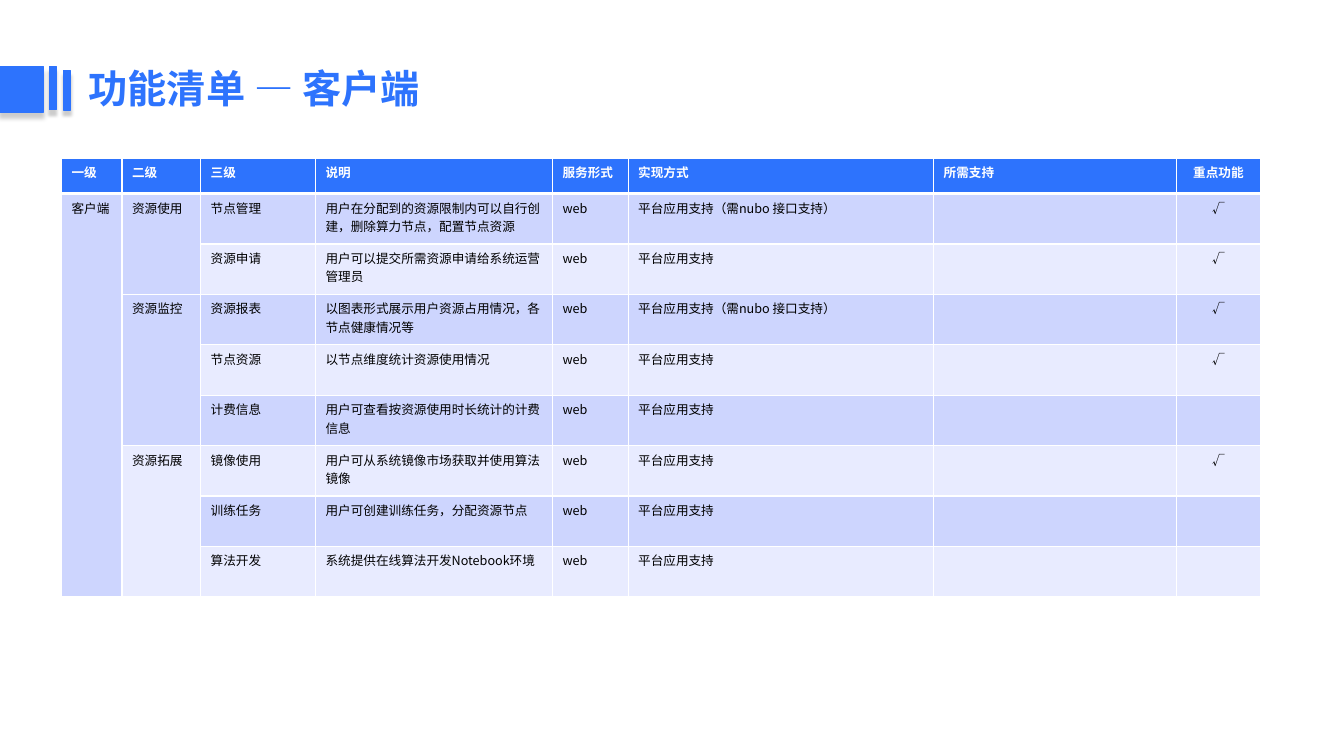
"""Build the client feature list slide."""
from lxml.etree import SubElement
from pptx import Presentation
from pptx.dml.color import RGBColor
from pptx.enum.shapes import MSO_SHAPE
from pptx.enum.text import MSO_ANCHOR, PP_ALIGN
from pptx.oxml import parse_xml
from pptx.oxml.ns import nsdecls, qn
from pptx.util import Inches, Pt

TITLE = "功能清单 — 客户端"
HEADERS = ["一级", "二级", "三级", "说明", "服务形式", "实现方式", "所需支持", "重点功能"]
CLIENT = "客户端"
PLATFORM = "平台应用支持"
INTERFACE = "平台应用支持（需nubo 接口支持）"
GROUPS = [
    ("资源使用", [
        ("节点管理", "用户在分配到的资源限制内可以自行创建，删除算力节点，配置节点资源", INTERFACE, "√"),
        ("资源申请", "用户可以提交所需资源申请给系统运营管理员", PLATFORM, "√"),
    ]),
    ("资源监控", [
        ("资源报表", "以图表形式展示用户资源占用情况，各节点健康情况等", INTERFACE, "√"),
        ("节点资源", "以节点维度统计资源使用情况", PLATFORM, "√"),
        ("计费信息", "用户可查看按资源使用时长统计的计费信息", PLATFORM, ""),
    ]),
    ("资源拓展", [
        ("镜像使用", "用户可从系统镜像市场获取并使用算法镜像", PLATFORM, "√"),
        ("训练任务", "用户可创建训练任务，分配资源节点", PLATFORM, ""),
        ("算法开发", "系统提供在线算法开发Notebook环境", PLATFORM, ""),
    ]),
]
COLUMN_WIDTHS = [0.6, 0.78, 1.14, 2.35, 0.75, 3.03, 2.41, 0.83]
HEADER_HEIGHT, ROW_HEIGHT = 0.35, 0.5
TITLE_BARS = [(0, 0.66, 0.43, 0.45, 3), (0.49, 0.66, 0.07, 0.43, 2), (0.63, 0.7, 0.07, 0.39, 2)]

BLUE = RGBColor(0x2D, 0x73, 0xFD)
DARK_BAND = RGBColor(0xCD, 0xD5, 0xFE)
LIGHT_BAND = RGBColor(0xE8, 0xEB, 0xFF)
WHITE = RGBColor(0xFF, 0xFF, 0xFF)
BLACK = RGBColor(0, 0, 0)
CHINESE_FONT = "Noto Sans CJK SC"


def add_run(paragraph, text, size, color, bold, font_name):
    run = paragraph.add_run()
    run.text = text
    font = run.font
    font.name, font.size, font.bold = font_name, Pt(size), bold
    font.color.rgb = color
    east_asian = SubElement(run.font._element, qn("a:ea"))
    east_asian.set("typeface", CHINESE_FONT)


def add_title_bar(slide, left, top, width, height, blur):
    bar = slide.shapes.add_shape(
        MSO_SHAPE.RECTANGLE, Inches(left), Inches(top), Inches(width), Inches(height))
    bar.fill.solid()
    bar.fill.fore_color.rgb = BLUE
    bar.line.color.rgb = BLUE
    bar.line.width = Pt(1)
    bar.shadow.inherit = False
    effects = bar._element.spPr.find(qn("a:effectLst"))
    effects.append(parse_xml(
        f'<a:outerShdw {nsdecls("a")} blurRad="{Pt(blur)}" dist="{Pt(4)}" dir="5400000" '
        'rotWithShape="0"><a:srgbClr val="000000"><a:alpha val="20000"/></a:srgbClr></a:outerShdw>'))


def add_title(slide):
    title = slide.shapes.title
    title.left, title.top = Inches(0.78), Inches(0.59)
    title.width, title.height = Inches(5.77), Inches(0.57)
    frame = title.text_frame
    frame.vertical_anchor = MSO_ANCHOR.MIDDLE
    paragraph = frame.paragraphs[0]
    paragraph.alignment = PP_ALIGN.LEFT
    add_run(paragraph, TITLE, 28, BLUE, True, "Montserrat")


def set_borders(cell, top_width, bottom_width):
    properties = cell._tc.get_or_add_tcPr()
    widths = [("lnL", 1), ("lnR", 1), ("lnT", top_width), ("lnB", bottom_width)]
    for position, (side, width) in enumerate(widths):
        properties.insert(position, parse_xml(
            f'<a:{side} {nsdecls("a")} w="{Pt(width)}"><a:solidFill>'
            f'<a:srgbClr val="{WHITE}"/></a:solidFill></a:{side}>'))


def fill_cell(cell, text, row, column):
    is_header = row == 0
    cell.fill.solid()
    cell.fill.fore_color.rgb = BLUE if is_header else DARK_BAND if row % 2 else LIGHT_BAND
    set_borders(cell, 3 if row == 1 else 1, 3 if is_header else 1)
    paragraph = cell.text_frame.paragraphs[0]
    if column == len(HEADERS) - 1:
        paragraph.alignment = PP_ALIGN.CENTER
    if text:
        add_run(paragraph, text, 9, WHITE if is_header else BLACK, is_header, CHINESE_FONT)


def add_feature_table(slide):
    rows, merges = [HEADERS], []
    for group, features in GROUPS:
        merges.append((len(rows), len(rows) + len(features) - 1, 1))
        for index, (name, description, method, mark) in enumerate(features):
            client = CLIENT if len(rows) == 1 else ""
            rows.append([client, "" if index else group, name, description, "web", method, "", mark])
    merges.append((1, len(rows) - 1, 0))

    height = HEADER_HEIGHT + ROW_HEIGHT * (len(rows) - 1)
    table = slide.shapes.add_table(
        len(rows), len(HEADERS), Inches(0.61), Inches(1.57),
        Inches(sum(COLUMN_WIDTHS)), Inches(height)).table
    for column, width in zip(table.columns, COLUMN_WIDTHS):
        column.width = Inches(width)
    for row, values in enumerate(rows):
        table.rows[row].height = Inches(ROW_HEIGHT if row else HEADER_HEIGHT)
        for column, text in enumerate(values):
            fill_cell(table.cell(row, column), text, row, column)
    for first, last, column in merges:
        table.cell(first, column).merge(table.cell(last, column))


def main():
    presentation = Presentation()
    presentation.slide_width, presentation.slide_height = Inches(13.33), Inches(7.5)
    slide = presentation.slides.add_slide(presentation.slide_layouts[5])
    for bar in TITLE_BARS:
        add_title_bar(slide, *bar)
    add_title(slide)
    add_feature_table(slide)
    presentation.save("out.pptx")


if __name__ == "__main__":
    main()
